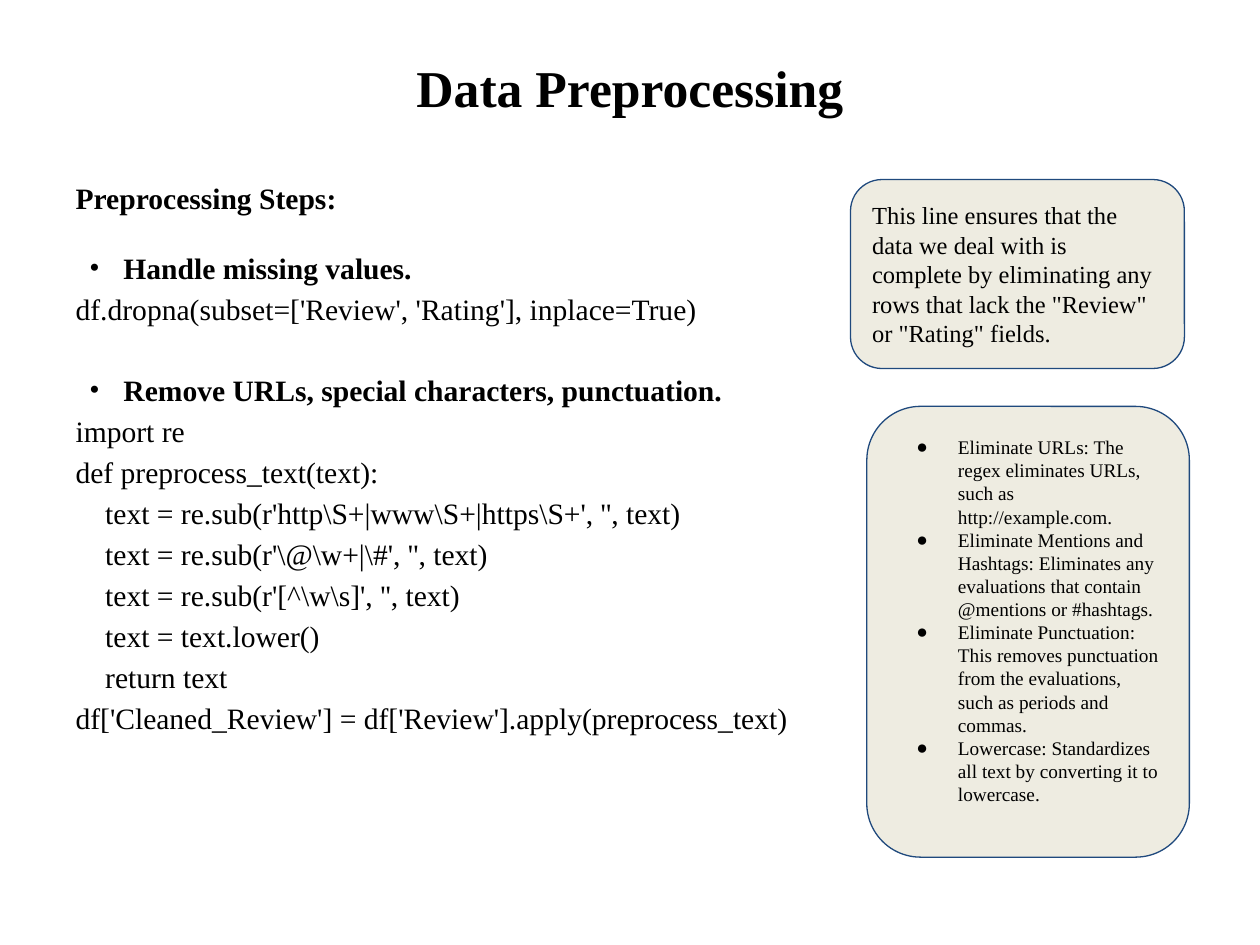
from dataclasses import dataclass
from typing import Optional

from lxml.etree import SubElement
from pptx import Presentation
from pptx.dml.color import RGBColor
from pptx.enum.shapes import MSO_SHAPE as Preset
from pptx.enum.text import MSO_ANCHOR as Anchor, MSO_AUTO_SIZE as AutoSize, PP_ALIGN as Align
from pptx.oxml.ns import qn
from pptx.util import Inches, Pt

BLACK = RGBColor(0x00, 0x00, 0x00)
CREAM = RGBColor(0xEE, 0xEC, 0xE1)
NAVY = RGBColor(0x1F, 0x49, 0x7D)
FONT = "Times New Roman"
WIDTH, HEIGHT = Inches(10), Inches(7.5)
CODE_SIZE, CODE_LEADING, CODE_GAP = 16.9, 0.84, 6.4
BLANK_LINE = 16.3


@dataclass(frozen=True)
class Area:
    left: float
    top: float
    width: float
    height: float

    def place(self, shape) -> None:
        shape.left, shape.width = int(self.left * WIDTH), int(self.width * WIDTH)
        shape.top, shape.height = int(self.top * HEIGHT), int(self.height * HEIGHT)


@dataclass(frozen=True)
class Line:
    text: str
    size: float
    bold: bool = False
    before: float = 0
    leading: float = 1
    margin: float = 0
    hanging: float = 0
    bullet: Optional[str] = None
    align: Align = Align.LEFT


@dataclass(frozen=True)
class Note:
    area: Area
    lines: list[Line]
    bottom_inset: float = 0.1


def code(text: str, level: int = 0) -> Line:
    return Line(text, CODE_SIZE, before=CODE_GAP, leading=CODE_LEADING, margin=0.235 * level)


def step(text: str, blank: float) -> Line:
    return Line(text, CODE_SIZE, True, CODE_GAP + blank, CODE_LEADING, 0.38, 0.27, "•")


def note_item(text: str) -> Line:
    return Line(text, 11, margin=0.5, hanging=0.33, bullet="●")


TITLE = Line("Data Preprocessing", 29.5, True, align=Align.CENTER)
STEPS = [
    Line("Preprocessing Steps:", CODE_SIZE, True, leading=CODE_LEADING),
    step("Handle missing values.", BLANK_LINE),
    code("df.dropna(subset=['Review', 'Rating'], inplace=True)"),
    step("Remove URLs, special characters, punctuation.", BLANK_LINE + CODE_GAP),
    code("import re"),
    code("def preprocess_text(text):"),
    code(r"text = re.sub(r'http\S+|www\S+|https\S+', '', text)", 1),
    code(r"text = re.sub(r'\@\w+|\#', '', text)", 1),
    code(r"text = re.sub(r'[^\w\s]', '', text)", 1),
    code("text = text.lower()", 1),
    code("return text", 1),
    code("df['Cleaned_Review'] = df['Review'].apply(preprocess_text)"),
]
NOTES = [
    Note(Area(0.675, 0.19, 0.265, 0.2), [
        Line('This line ensures that the data we deal with is complete by eliminating any '
             'rows that lack the "Review" or "Rating" fields.', 14),
    ]),
    Note(Area(0.688, 0.43, 0.256, 0.477), [
        note_item("Eliminate URLs: The regex eliminates URLs, such as http://example.com."),
        note_item("Eliminate Mentions and Hashtags: Eliminates any evaluations that contain "
                  "@mentions or #hashtags."),
        note_item("Eliminate Punctuation: This removes punctuation from the evaluations, "
                  "such as periods and commas."),
        note_item("Lowercase: Standardizes all text by converting it to lowercase."),
    ], 0.28),
]


def format_list(para, line: Line) -> None:
    properties = para._p.get_or_add_pPr()
    properties.set("marL", str(Inches(line.margin)))
    properties.set("indent", str(-Inches(line.hanging)))
    if line.bullet is None:
        SubElement(properties, qn("a:buNone"))
        return
    color = SubElement(properties, qn("a:buClr"))
    SubElement(color, qn("a:srgbClr")).set("val", str(BLACK))
    SubElement(properties, qn("a:buFont")).set("typeface", FONT)
    SubElement(properties, qn("a:buChar")).set("char", line.bullet)


def write_lines(frame, lines: list[Line], anchor: Anchor) -> None:
    frame.word_wrap = True
    frame.auto_size = AutoSize.NONE
    frame.vertical_anchor = anchor
    for index, line in enumerate(lines):
        para = frame.add_paragraph() if index else frame.paragraphs[0]
        para.alignment = line.align
        para.line_spacing = line.leading
        para.space_before = Pt(line.before)
        format_list(para, line)
        span = para.add_run()
        span.text = line.text
        span.font.name = FONT
        span.font.size = Pt(line.size)
        span.font.bold = line.bold
        span.font.color.rgb = BLACK


def draw_note(page, note: Note) -> None:
    box = page.shapes.add_shape(Preset.ROUNDED_RECTANGLE, 0, 0, 0, 0)
    note.area.place(box)
    box.shadow.inherit = False
    box.fill.solid()
    box.fill.fore_color.rgb = CREAM
    box.line.color.rgb = NAVY
    box.line.width = Pt(0.75)
    frame = box.text_frame
    frame.margin_left = frame.margin_right = frame.margin_top = Inches(0.1)
    frame.margin_bottom = Inches(note.bottom_inset)
    write_lines(frame, note.lines, Anchor.MIDDLE)


def main() -> None:
    deck = Presentation()
    deck.slide_width, deck.slide_height = WIDTH, HEIGHT
    page = deck.slides.add_slide(deck.slide_layouts[1])
    title, body = page.shapes.title, page.placeholders[1]
    Area(0.05, 0.008, 0.9, 0.167).place(title)
    write_lines(title.text_frame, [TITLE], Anchor.MIDDLE)
    Area(0.05, 0.19, 0.9, 0.66).place(body)
    write_lines(body.text_frame, STEPS, Anchor.TOP)
    for note in NOTES:
        draw_note(page, note)
    deck.save("out.pptx")


if __name__ == "__main__":
    main()
